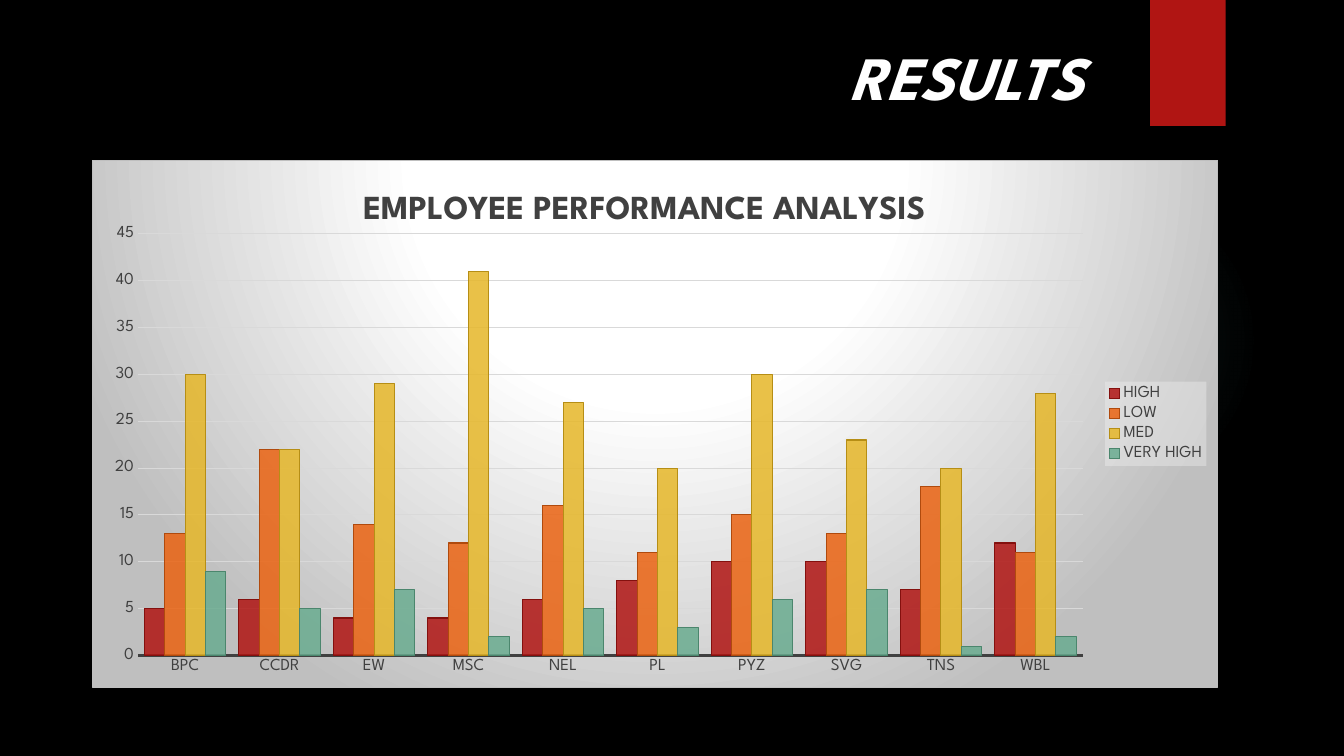
"""Build the results slide with a clustered column chart of employee performance."""
import pptx
import pptx.chart.data
import pptx.dml.color
import pptx.enum.chart
import pptx.enum.shapes
import pptx.oxml
import pptx.oxml.ns
import pptx.util

Pt = pptx.util.Pt
FONT = "League Spartan"
HEADING = "RESULTS"
TITLE = "EMPLOYEE PERFORMANCE ANALYSIS"
DARK, GRID, WHITE, RED = "404040", "D9D9D9", "FFFFFF", "B01513"
CATEGORIES = ["BPC", "CCDR", "EW", "MSC", "NEL", "PL", "PYZ", "SVG", "TNS", "WBL"]
SERIES = [
    ("HIGH", RED, "84100E", (5, 6, 4, 4, 6, 8, 10, 10, 7, 12)),
    ("LOW", "EA6312", "B04A0D", (13, 22, 14, 12, 16, 11, 15, 13, 18, 11)),
    ("MED", "E6B729", "B68E15", (30, 22, 29, 41, 27, 20, 30, 23, 20, 28)),
    ("VERY HIGH", "6AAC90", "4B866D", (9, 5, 7, 2, 5, 3, 6, 7, 1, 2)),
]
GLOW_STOPS = [(0, "50B9C1", 7), (36, "50B9C1", 6), (69, "50B9C1", 0)]
PANEL_STOPS = [(0, WHITE, 100), (39, WHITE, 100), (100, "BFBFBF", 100)]
GLOW_BOX = (677.5, 131.8, 221.8, 221.8)
TAB_BOX = (821.5, 0, 54, 90)
CHART_BOX = (66, 114, 804.2, 377.3)
HEADING_BOX = (600, 24, 354, 60.5)
NS = pptx.oxml.ns.nsdecls("a", "c")


def rgb(value):
    return pptx.dml.color.RGBColor.from_string(value)


def box(values):
    return [Pt(v) for v in values]


def style(font, size, color, bold=False):
    font.name, font.size, font.bold = FONT, Pt(size), bold
    font.color.rgb = rgb(color)


def stroke(line, color, width):
    line.color.rgb, line.width = rgb(color), Pt(width)


def color_xml(color, alpha):
    return f'<a:srgbClr val="{color}"><a:alpha val="{alpha * 1000}"/></a:srgbClr>'


def radial_xml(stops, top, bottom):
    gs = "".join(f'<a:gs pos="{pos * 1000}">{color_xml(color, alpha)}</a:gs>'
                 for pos, color, alpha in stops)
    return (f'<a:gradFill {NS} rotWithShape="1"><a:gsLst>{gs}</a:gsLst><a:path path="circle">'
            f'<a:fillToRect l="50000" t="{top * 1000}" r="50000" b="{bottom * 1000}"/>'
            '</a:path></a:gradFill>')


def place(element, index, mode, **fractions):
    for old in element.findall(pptx.oxml.ns.qn("c:layout")):
        element.remove(old)
    target = '<c:layoutTarget val="inner"/>' if mode == "inner" else ""
    parts = "".join(f'<c:{k}Mode val="edge"/>' for k in "xy")
    parts += "".join(f'<c:{k} val="{v}"/>' for k, v in fractions.items())
    element.insert(index, pptx.oxml.parse_xml(
        f"<c:layout {NS}><c:manualLayout>{target}{parts}</c:manualLayout></c:layout>"))


def add_block(slide, kind, at):
    sp = slide.shapes.add_shape(kind, *box(at))
    sp.shadow.inherit = False
    sp.line.fill.background()
    return sp


def add_backdrop(slide):
    shapes = pptx.enum.shapes.MSO_SHAPE
    glow = add_block(slide, shapes.OVAL, GLOW_BOX)
    glow.fill.gradient()
    old = glow._element.spPr.find(pptx.oxml.ns.qn("a:gradFill"))
    old.getparent().replace(old, pptx.oxml.parse_xml(radial_xml(GLOW_STOPS, 50, 50)))
    tab = add_block(slide, shapes.RECTANGLE, TAB_BOX)
    tab.fill.solid()
    tab.fill.fore_color.rgb = rgb(RED)


def add_performance_chart(slide):
    enums = pptx.enum.chart
    data = pptx.chart.data.CategoryChartData()
    data.categories = CATEGORIES
    for name, _, _, values in SERIES:
        data.add_series(name, values)
    chart = slide.shapes.add_chart(
        enums.XL_CHART_TYPE.COLUMN_CLUSTERED, *box(CHART_BOX), data).chart
    style(chart.font, 10, WHITE)

    chart.has_title = True
    tf = chart.chart_title.text_frame
    tf.text = TITLE
    style(tf.paragraphs[0].font, 24, DARK, True)
    place(chart.chart_title._element, 1, "edge", x=0.235, y=0.05)

    chart.has_legend = True
    legend = chart.legend
    legend.position = enums.XL_LEGEND_POSITION.RIGHT
    legend.include_in_layout = False
    style(legend.font, 12, DARK)
    place(legend._element, 1, "edge", x=0.9, y=0.42, w=0.09, h=0.16)
    legend._element.find(pptx.oxml.ns.qn("c:overlay")).addnext(pptx.oxml.parse_xml(
        f'<c:spPr {NS}><a:solidFill>{color_xml("F2F2F2", 39)}</a:solidFill></c:spPr>'))

    for axis in (chart.category_axis, chart.value_axis):
        axis.major_tick_mark = axis.minor_tick_mark = enums.XL_TICK_MARK.NONE
        style(axis.tick_labels.font, 12, DARK)
    stroke(chart.category_axis.format.line, DARK, 1.5)
    value_axis = chart.value_axis
    value_axis.format.line.fill.background()
    value_axis.minimum_scale, value_axis.maximum_scale = 0, 45
    value_axis.major_unit = 5
    value_axis.has_major_gridlines = True
    stroke(value_axis.major_gridlines.format.line, GRID, 0.75)

    plot = chart.plots[0]
    plot.vary_by_categories = False
    plot.gap_width, plot.overlap = 65, 0
    for ser, (_, fill, line, _) in zip(plot.series, SERIES):
        ser.invert_if_negative = False
        ser.format.fill.solid()
        ser.format.fill.fore_color.rgb = rgb(fill)
        clr = ser._element.xpath("./c:spPr/a:solidFill/a:srgbClr")[0]
        clr.append(pptx.oxml.parse_xml(f'<a:alpha {NS} val="85000"/>'))
        stroke(ser.format.line, line, 0.75)

    body = chart._chartSpace.find(pptx.oxml.ns.qn("c:chart"))
    place(body.find(pptx.oxml.ns.qn("c:plotArea")), 0, "inner", x=0.04, y=0.14, w=0.84, h=0.8)
    body.addnext(pptx.oxml.parse_xml(
        f'<c:spPr {NS}>{radial_xml(PANEL_STOPS, -80, 180)}'
        f'<a:ln w="{Pt(0.75)}"><a:solidFill>{color_xml("BFBFBF", 100)}</a:solidFill></a:ln></c:spPr>'))


def add_heading(slide):
    tf = slide.shapes.add_textbox(*box(HEADING_BOX)).text_frame
    tf.word_wrap = True
    p = tf.paragraphs[0]
    p.text = HEADING
    style(p.font, 44, WHITE, True)
    p.font.italic = True


def main():
    prs = pptx.Presentation()
    prs.slide_width, prs.slide_height = Pt(960), Pt(540)
    slide = prs.slides.add_slide(prs.slide_layouts[6])
    slide.background.fill.solid()
    slide.background.fill.fore_color.rgb = rgb("000000")
    add_backdrop(slide)
    add_performance_chart(slide)
    add_heading(slide)
    prs.save("out.pptx")


if __name__ == "__main__":
    main()
